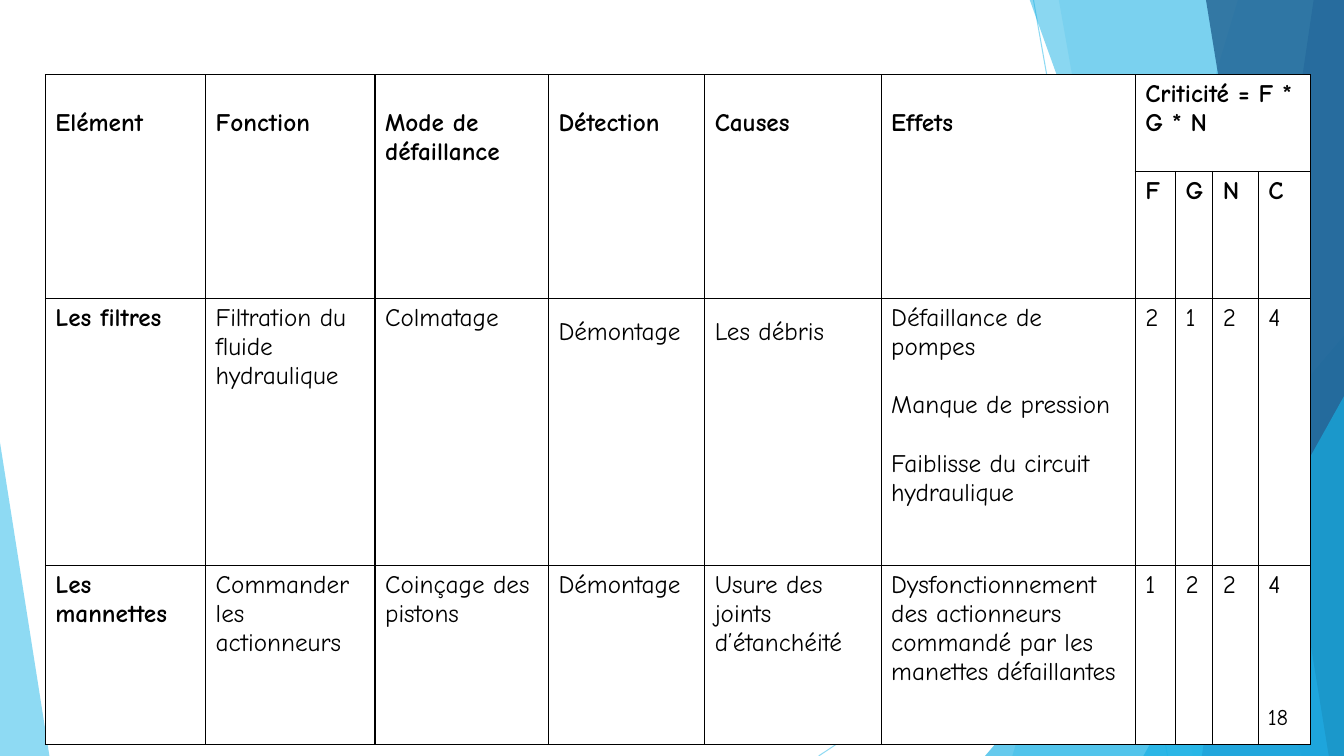
from pptx import Presentation
from pptx.dml.color import RGBColor
from pptx.enum.shapes import MSO_CONNECTOR as Link, MSO_SHAPE as Form
from pptx.enum.text import MSO_ANCHOR as Anchor, PP_ALIGN as Align
from pptx.oxml import parse_xml
from pptx.oxml.ns import nsdecls
from pptx.util import Inches, Pt

W, H = 13.33, 7.5
SKY, CYAN, BLUE, NAVY = "5FCBEF", "17B0E4", "2E83C3", "226292"
WHITE, BLACK = "FFFFFF", "000000"

RAYS = [((10.25, 0), (11.58, H)), ((W, 4.03), (8.12, H))]
BANDS = [
    (12.28, 10.04, SKY, 36),
    (10.5, 11.83, SKY, 20),
    (10.21, 12.91, CYAN, 50),
    (13.03, 11.92, BLUE, 70),
    (11.96, 13.18, NAVY, 80),
]
PEAKS = [
    ((9.77, 3.33, 3.56, 4.17), 1, CYAN, 66),
    ((11.34, 3.93, 1.99, 3.57), 1, CYAN, 66),
    ((0, 4.39, 0.49, 3.11), 0, SKY, 70),
]
COLS = [1.59, 1.68, 1.72, 1.55, 1.75, 2.52, 0.4, 0.37, 0.45, 0.52]
ROWS = [0.96, 1.26, 2.65, 1.78]
HEADS = ["Elément", "Fonction", "Mode de défaillance", "Détection", "Causes", "Effets"]
CELLS = [
    HEADS + ["Criticité = F * G * N", "", "", ""],
    [""] * 6 + ["F", "G", "N", "C"],
    ["Les filtres", "Filtration du fluide hydraulique", "Colmatage", "Démontage",
     "Les débris",
     "Défaillance de pompes\nManque de pression\nFaiblisse du circuit hydraulique",
     "2", "1", "2", "4"],
    ["Les mannettes", "Commander les actionneurs", "Coinçage des pistons",
     "Démontage", "Usure des joints d’étanchéité",
     "Dysfonctionnement des actionneurs\ncommandé par les manettes défaillantes",
     "1", "2", "2", "4"],
]


def rgb(code):
    return RGBColor.from_string(code)


def setall(thing, **vals):
    for key, val in vals.items():
        setattr(thing, key, val)


class Page:
    font = "Comic Neue"

    def __init__(self, deck):
        self.shapes = deck.slides.add_slide(deck.slide_layouts[6]).shapes

    def fade(self, shape, alpha):
        for tint in shape.element.xpath(".//p:spPr//a:srgbClr"):
            tint.append(parse_xml(f'<a:alpha {nsdecls("a")} val="{alpha * 1000}"/>'))

    def paint(self, shape, color, alpha):
        shape.shadow.inherit = False
        shape.fill.solid()
        shape.fill.fore_color.rgb = rgb(color)
        shape.line.fill.background()
        self.fade(shape, alpha)

    def ray(self, start, end):
        ends = [Inches(n) for n in start + end]
        line = self.shapes.add_connector(Link.STRAIGHT, *ends)
        line.line.color.rgb = rgb(SKY)
        line.line.width = Pt(0.75)
        self.fade(line, 70)
        line.element.spPr.append(parse_xml(f'<a:effectLst {nsdecls("a")}/>'))

    def band(self, top, foot, color, alpha):
        spots = [(top, -0.01), (W, -0.01), (W, H), (foot, H)]
        spots = [(Inches(x), Inches(y)) for x, y in spots]
        pen = self.shapes.build_freeform(*spots[0], scale=1.0)
        pen.add_line_segments(spots[1:], close=True)
        self.paint(pen.convert_to_shape(), color, alpha)

    def peak(self, box, tip, color, alpha):
        shape = self.shapes.add_shape(Form.ISOSCELES_TRIANGLE, *map(Inches, box))
        shape.adjustments[0] = tip
        self.paint(shape, color, alpha)

    def label(self, frame, text, size=18, bold=False, **style):
        frame.text = text
        for para in frame.paragraphs:
            setall(para, **style)
            font = para.runs[0].font
            setall(font, name=self.font, size=Pt(size), bold=bold)
            font.color.rgb = rgb(BLACK)

    def frame(self, cell):
        props = cell._tc.get_or_add_tcPr()
        for side in "LRTB":
            props.append(parse_xml(
                f'<a:ln{side} {nsdecls("a")} w="12700"><a:solidFill>'
                f'<a:srgbClr val="{BLACK}"/></a:solidFill></a:ln{side}>'))
        cell.fill.solid()
        cell.fill.fore_color.rgb = rgb(WHITE)

    def table(self, left, top):
        box = [Inches(n) for n in (left, top, sum(COLS), sum(ROWS))]
        grid = self.shapes.add_table(len(ROWS), len(COLS), *box).table
        for col, wide in zip(grid.columns, COLS):
            col.width = Inches(wide)
        for row, tall in zip(grid.rows, ROWS):
            row.height = Inches(tall)
        for r, row in enumerate(CELLS):
            for c, text in enumerate(row):
                cell = grid.cell(r, c)
                self.frame(cell)
                if text:
                    style = {}
                    if r == 2 and c in (3, 4):
                        style = {"line_spacing": 1.5, "space_after": Pt(8)}
                    self.label(cell.text_frame, text, bold=r < 2 or c == 0, **style)
        for c in range(len(HEADS)):
            grid.cell(0, c).merge(grid.cell(1, c))
            grid.cell(0, c).margin_top = Inches(0.34)
        grid.cell(0, 6).merge(grid.cell(0, 9))
        for para in grid.cell(2, 5).text_frame.paragraphs[1:]:
            para.space_before = Pt(21)

    def number(self, text, *box):
        oval = self.shapes.add_shape(Form.OVAL, *map(Inches, box))
        oval.shadow.inherit = False
        oval.fill.background()
        oval.line.fill.background()
        oval.text_frame.vertical_anchor = Anchor.MIDDLE
        self.label(oval.text_frame, text, size=16, alignment=Align.CENTER)


def main():
    deck = Presentation()
    setall(deck, slide_width=Inches(W), slide_height=Inches(H))
    page = Page(deck)
    for ray in RAYS:
        page.ray(*ray)
    for band in BANDS[:2]:
        page.band(*band)
    page.peak(*PEAKS[0])
    for band in BANDS[2:]:
        page.band(*band)
    for peak in PEAKS[1:]:
        page.peak(*peak)
    page.table(0.45, 0.74)
    page.number("18", 12.28, 6.91, 0.79, 0.4)
    deck.save("out.pptx")


if __name__ == "__main__":
    main()
